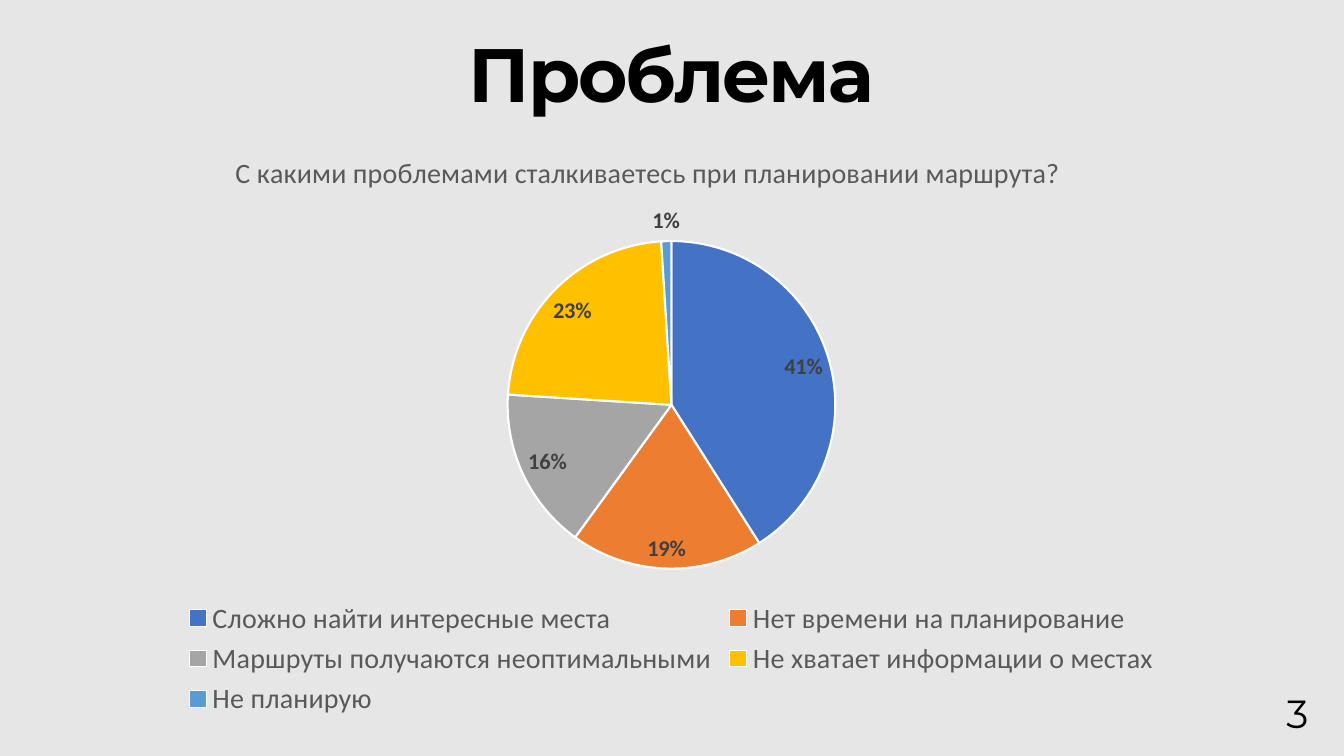
import pptx
import pptx.chart.data
import pptx.dml.color
import pptx.enum.chart
import pptx.enum.text
import pptx.oxml
import pptx.oxml.ns
import pptx.util
from pptx.util import Inches


def color(hex_code):
    return pptx.dml.color.RGBColor.from_string(hex_code)


def place(element, index, **fractions):
    """Give a chart part a manual layout, in fractions of the chart area."""
    qn = pptx.oxml.ns.qn
    for old in element.findall(qn("c:layout")):
        element.remove(old)
    target = '<c:layoutTarget val="inner"/>' if "w" in fractions else ""
    modes = "".join(f'<c:{side}Mode val="edge"/>' for side in "xy")
    values = "".join(f'<c:{side} val="{value}"/>' for side, value in fractions.items())
    layout = pptx.oxml.parse_xml(
        f'<c:layout {pptx.oxml.ns.nsdecls("c")}><c:manualLayout>'
        f"{target}{modes}{values}</c:manualLayout></c:layout>"
    )
    element.insert(index, layout)


answers = [
    ("Сложно найти интересные места", 0.41, "4472C4"),
    ("Нет времени на планирование", 0.19, "ED7D31"),
    ("Маршруты получаются неоптимальными", 0.16, "A5A5A5"),
    ("Не хватает информации о местах", 0.23, "FFC000"),
    ("Не планирую", 0.01, "5B9BD5"),
]

deck = pptx.Presentation()
deck.slide_width, deck.slide_height = Inches(13.33), Inches(7.5)
page = deck.slides.add_slide(deck.slide_layouts[6])
page.background.fill.solid()
page.background.fill.fore_color.rgb = color("E7E6E6")

# Heading
heading = page.shapes.add_textbox(Inches(1.41), Inches(0.2), Inches(10.5), Inches(1.03))
heading.text_frame.word_wrap = True
heading.text_frame.vertical_anchor = pptx.enum.text.MSO_ANCHOR.BOTTOM
para = heading.text_frame.paragraphs[0]
para.alignment = pptx.enum.text.PP_ALIGN.CENTER
para.line_spacing = 0.9
span = para.add_run()
span.text = "Проблема"
span.font.name = "Montserrat"
span.font.size = pptx.util.Pt(54)
span.font.bold = True
span.font.color.rgb = color("000000")
span.font._element.set("spc", "-150")

# Page number
number = page.shapes.add_textbox(Inches(12.66), Inches(6.79), Inches(0.6), Inches(0.4))
para = number.text_frame.paragraphs[0]
para.text = "3"
para.font.name = "Montserrat"
para.font.size = pptx.util.Pt(28)
para.font.color.rgb = color("000000")

# Survey chart
survey = pptx.chart.data.CategoryChartData(number_format="0%")
survey.categories = [name for name, share, tint in answers]
survey.add_series("Series 1", [share for name, share, tint in answers])
chart = page.shapes.add_chart(
    pptx.enum.chart.XL_CHART_TYPE.PIE,
    Inches(0.41), Inches(1.23), Inches(12.5), Inches(5.93), survey,
).chart
chart.font.name = "Calibri"
chart.font.size = pptx.util.Pt(10)

chart.has_title = True
question = chart.chart_title.text_frame.paragraphs[0]
question.text = "С какими проблемами сталкиваетесь при планировании маршрута?"
question.font.bold = False
place(chart.chart_title._element, 1, x=0.15, y=0.04)

chart.has_legend = True
chart.legend.position = pptx.enum.chart.XL_LEGEND_POSITION.BOTTOM
chart.legend.include_in_layout = False
for font in (question.font, chart.legend.font):
    font.name = "Calibri"
    font.size = pptx.util.Pt(20)
    font.color.rgb = color("595959")

pie = chart.plots[0]
pie.vary_by_categories = True
place(chart._chartSpace.chart.plotArea, 0, x=0.37, y=0.19, w=0.26, h=0.56)
for index, (name, share, tint) in enumerate(answers):
    slice_format = pie.series[0].points[index].format
    slice_format.fill.solid()
    slice_format.fill.fore_color.rgb = color(tint)
    slice_format.line.color.rgb = color("FFFFFF")
    slice_format.line.width = pptx.util.Pt(1.5)

pie.has_data_labels = True
labels = pie.data_labels
labels.show_value = True
labels.show_percentage = False
labels.number_format = "0%"
labels.number_format_is_linked = False
labels.position = pptx.enum.chart.XL_LABEL_POSITION.BEST_FIT
labels.font.name = "Calibri"
labels.font.size = pptx.util.Pt(16)
labels.font.bold = True
labels.font.color.rgb = color("404040")

deck.save("out.pptx")
